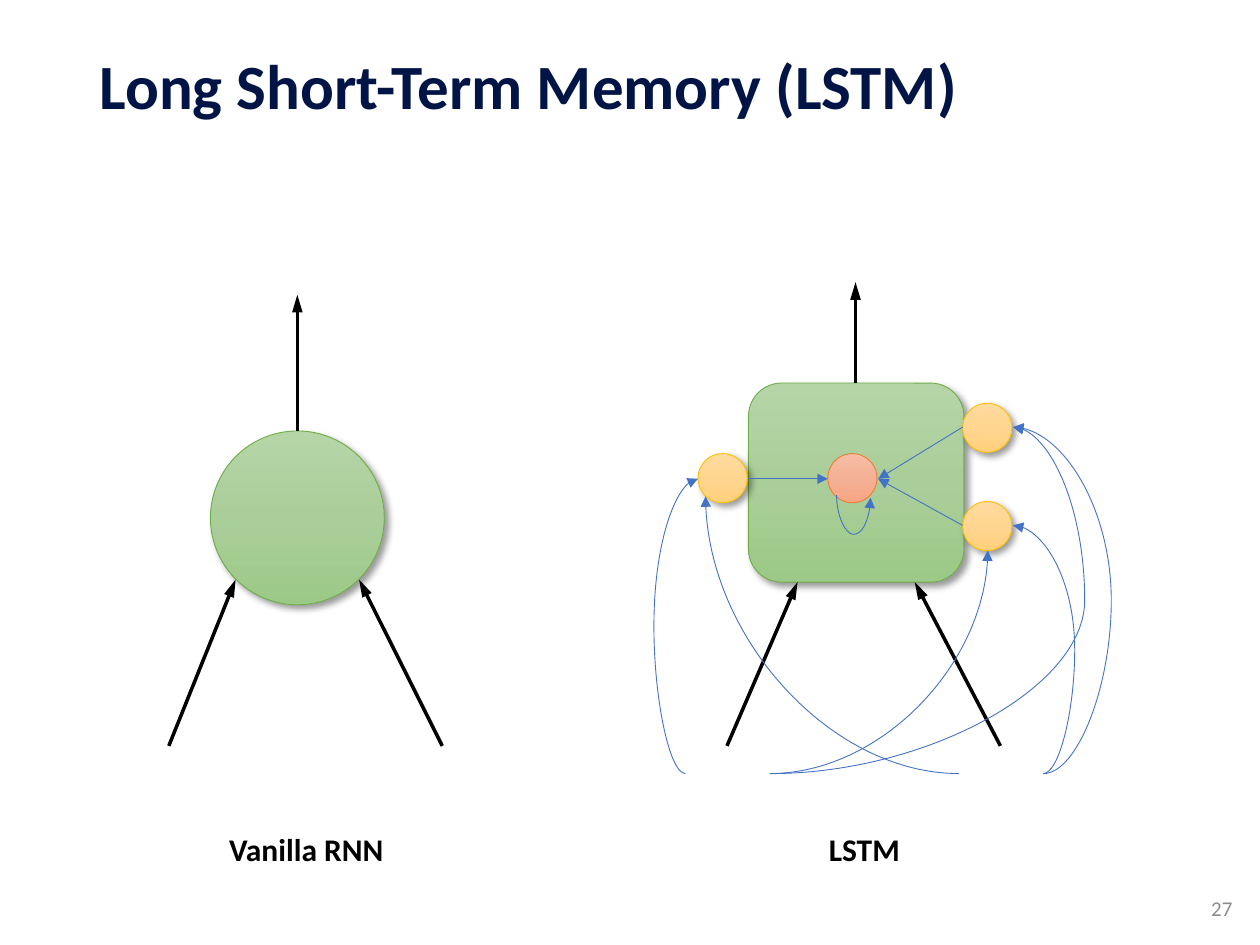
from copy import deepcopy

from lxml import etree
from pptx import Presentation
from pptx.dml.color import RGBColor
from pptx.enum.shapes import MSO_CONNECTOR, MSO_SHAPE
from pptx.enum.text import MSO_ANCHOR, MSO_AUTO_SIZE, PP_ALIGN
from pptx.oxml.ns import qn
from pptx.util import Inches, Pt

STRAIGHT, CURVE = MSO_CONNECTOR.STRAIGHT, MSO_CONNECTOR.CURVE
OVAL, ROUNDED = MSO_SHAPE.OVAL, MSO_SHAPE.ROUNDED_RECTANGLE
MIDDLE, TOP = MSO_ANCHOR.MIDDLE, MSO_ANCHOR.TOP
LEFT, RIGHT = PP_ALIGN.LEFT, PP_ALIGN.RIGHT
NO_FIT, FIT_SHAPE = MSO_AUTO_SIZE.NONE, MSO_AUTO_SIZE.SHAPE_TO_FIT_TEXT

COLORS = {
    "title": "001545", "black": "000000", "number": "8C8C8C", "gate_arrow": "4472C4",
    "cell_line": "70AD47", "gate_line": "FFC000", "memory_line": "ED7D31",
}
GRADIENTS = {
    "cell": ("B5D5A7", "AACE9A", "9CC987"),
    "gate": ("FFDB9E", "FFD590", "FFD07C"),
    "memory": ("F7BDA5", "F5B196", "F8A582"),
}
GATE_SIZE = 0.39


class DiagramSlide:
    """Holds the style and the current slide."""

    font_name = "Calibri"

    def __init__(self, slide):
        self.slide = slide

    def set_text(self, shape, text, size, color, bold=False, align=LEFT, anchor=TOP,
                 wrap=True, fit=NO_FIT, spacing=1.0):
        frame = shape.text_frame
        frame_format = {"word_wrap": wrap, "auto_size": fit, "vertical_anchor": anchor}
        for name, value in frame_format.items():
            setattr(frame, name, value)
        paragraph = frame.paragraphs[0]
        paragraph.text = text
        paragraph.alignment = align
        paragraph.line_spacing = spacing
        font_format = {"name": self.font_name, "size": Pt(size), "bold": bold}
        for name, value in font_format.items():
            setattr(paragraph.font, name, value)
        paragraph.font.color.rgb = RGBColor.from_string(COLORS[color])

    def title(self, text, box):
        shape = self.slide.shapes.title
        for name, value in zip(("left", "top", "width", "height"), box):
            setattr(shape, name, Inches(value))
        self.set_text(shape, text, 36, "title", bold=True, anchor=MIDDLE, spacing=0.9)

    def text(self, text, box, size, color, **style):
        shape = self.slide.shapes.add_textbox(*map(Inches, box))
        self.set_text(shape, text, size, color, **style)

    def node(self, kind, box, role, shadow=True):
        shape = self.slide.shapes.add_shape(kind, *map(Inches, box))
        shape.fill.gradient()
        shape.fill.gradient_angle = 270
        properties = shape._element.spPr
        stop_list = properties.find(".//" + qn("a:gsLst"))
        stop_list.insert(1, deepcopy(stop_list[0]))
        for index, (stop, color) in enumerate(zip(shape.fill.gradient_stops, GRADIENTS[role])):
            stop.position = index / 2
            stop.color.rgb = RGBColor.from_string(color)
        shape.line.color.rgb = RGBColor.from_string(COLORS[role + "_line"])
        shape.line.width = Pt(0.5)
        shape.shadow.inherit = False
        if shadow:
            effects = properties.find(qn("a:effectLst"))
            outer = etree.SubElement(effects, qn("a:outerShdw"), blurRad=str(Pt(4)),
                                     dist=str(Pt(3)), dir="2700000", rotWithShape="0")
            color = etree.SubElement(outer, qn("a:srgbClr"), val=COLORS["black"])
            etree.SubElement(color, qn("a:alpha"), val="40000")

    def arrow(self, begin, end, color="black", width=2, head="lg", kind=STRAIGHT):
        connector = self.slide.shapes.add_connector(kind, *map(Inches, (*begin, *end)))
        connector.line.color.rgb = RGBColor.from_string(COLORS[color])
        connector.line.width = Pt(width)
        properties = connector._element.spPr
        etree.SubElement(properties.find(qn("a:ln")), qn("a:tailEnd"),
                         type="triangle", w="med", len=head)
        etree.SubElement(properties, qn("a:effectLst"))
        return connector

    def gate_arrow(self, begin, end, kind=STRAIGHT):
        return self.arrow(begin, end, "gate_arrow", 0.5, "med", kind)

    def curve(self, begin, end, bend=None, vertical=False):
        """Bend at an x value (a y value if vertical); without one, a quarter turn."""
        axis = 1 if vertical else 0
        start, stop = begin[axis], end[axis]
        if vertical:
            # The same curve before its turn by 270 degrees about the centre
            x, y = ((a + b) / 2 for a, b in zip(begin, end))
            begin, end = ((x - (py - y), y + (px - x)) for px, py in (begin, end))
        connector = self.gate_arrow(begin, end, CURVE)
        properties = connector._element.spPr
        geometry = properties.find(qn("a:prstGeom"))
        if vertical:
            properties.find(qn("a:xfrm")).set("rot", str(270 * 60000))
        if bend is None:
            geometry.set("prst", "curvedConnector2")
        else:
            ratio = round((bend - start) / (stop - start) * 100000)
            etree.SubElement(geometry.find(qn("a:avLst")), qn("a:gd"),
                             name="adj1", fmla=f"val {ratio}")


def main():
    presentation = Presentation()
    presentation.slide_width, presentation.slide_height = Inches(10), Inches(7.5)
    diagram = DiagramSlide(presentation.slides.add_slide(presentation.slide_layouts[5]))

    # Title and slide number
    diagram.title("Long Short-Term Memory (LSTM)", (0.69, 0.2, 8.62, 1.02))
    diagram.text("27", (9.36, 7.01, 0.52, 0.4), 12, "number", align=RIGHT, anchor=MIDDLE)

    # Vanilla RNN cell
    diagram.node(OVAL, (1.67, 3.42, 1.38, 1.38), "cell")
    for begin, end in (((1.34, 5.92), (1.87, 4.6)), ((3.51, 5.92), (2.85, 4.6)),
                       ((2.36, 3.42), (2.36, 2.34))):
        diagram.arrow(begin, end)

    # LSTM cell with its inputs and output
    diagram.node(ROUNDED, (5.94, 3.04, 1.71, 1.58), "cell")
    for begin, end in (((5.77, 5.92), (6.33, 4.62)), ((7.94, 5.92), (7.26, 4.62)),
                       ((6.79, 3.04), (6.79, 2.24))):
        diagram.arrow(begin, end)

    # Gates and memory
    for left, top in ((7.64, 3.98), (7.64, 3.2), (5.54, 3.6)):
        diagram.node(OVAL, (left, top, GATE_SIZE, GATE_SIZE), "gate")
    diagram.node(OVAL, (6.57, 3.6, GATE_SIZE, GATE_SIZE), "memory", shadow=False)

    # Curves from the inputs to the gates
    left_input, right_input = (6.11, 6.14), (8.28, 6.14)
    upper_gate, lower_gate = (8.04, 3.39), (8.04, 4.17)
    diagram.curve(left_input, (7.84, 4.37))
    diagram.curve(right_input, lower_gate, 8.53)
    diagram.curve(right_input, upper_gate, 8.82)
    diagram.curve(left_input, upper_gate, 8.61)
    diagram.curve((5.44, 6.14), (5.54, 3.8), 5.19)
    diagram.curve((7.61, 6.14), (5.6, 3.94))

    # Gates to the memory, and the memory's own loop
    for begin, end in (((7.64, 3.39), (6.97, 3.8)), ((7.64, 4.17), (6.97, 3.8)),
                       ((5.94, 3.8), (6.57, 3.8))):
        diagram.gate_arrow(begin, end)
    diagram.curve((6.64, 3.93), (6.91, 3.95), 4.24, vertical=True)

    # Captions
    for text, left, width in (("Vanilla RNN", 1.72, 1.44), ("LSTM", 6.48, 0.77)):
        diagram.text(text, (left, 6.54, width, 0.4), 18, "black", bold=True,
                     wrap=False, fit=FIT_SHAPE)

    presentation.save("out.pptx")


if __name__ == "__main__":
    main()
